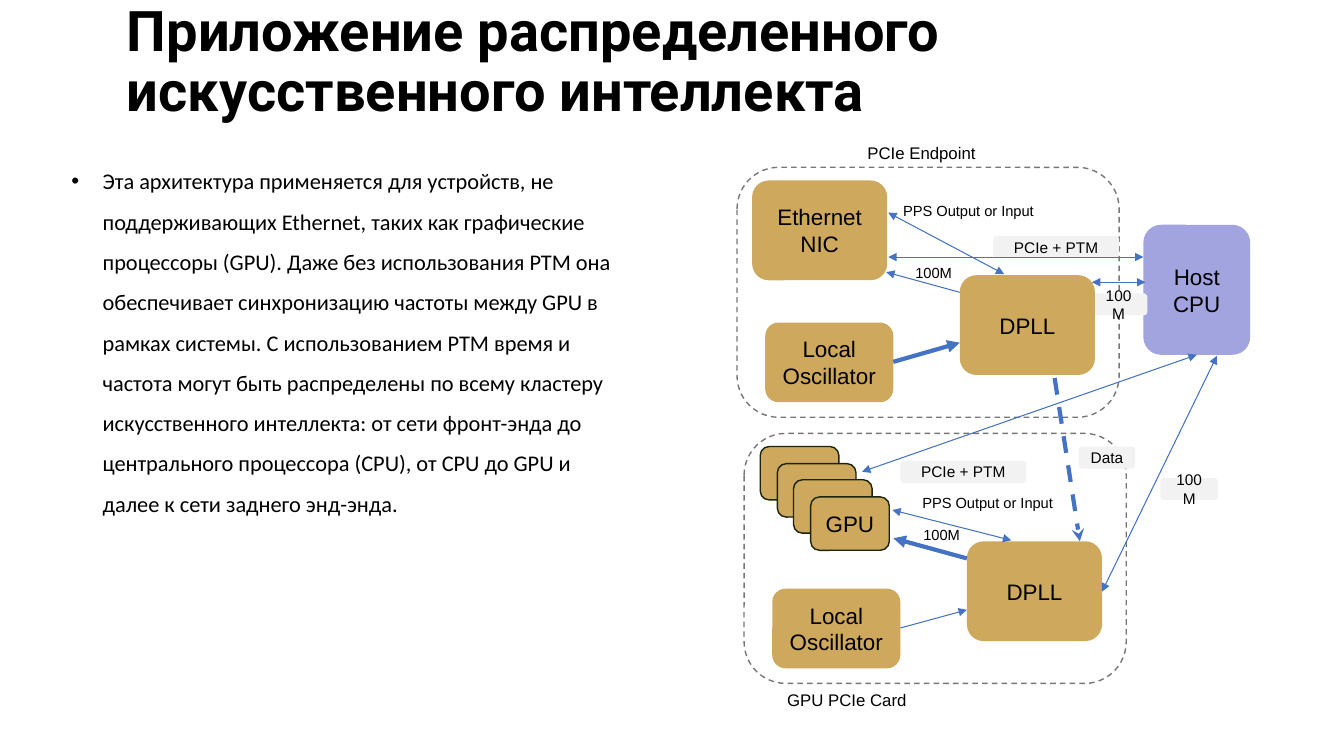
"""Builds the slide on a distributed AI application with its clock diagram."""
from lxml import etree
from pptx import Presentation
from pptx.dml.color import RGBColor
from pptx.enum.dml import MSO_LINE
from pptx.enum.shapes import MSO_CONNECTOR, MSO_SHAPE
from pptx.enum.text import MSO_ANCHOR, PP_ALIGN
from pptx.oxml.ns import qn
from pptx.util import Emu, Pt

ROUND = MSO_SHAPE.ROUNDED_RECTANGLE
STRAIGHT = MSO_CONNECTOR.STRAIGHT
DASH = MSO_LINE.DASH
LEFT, CENTER = PP_ALIGN.LEFT, PP_ALIGN.CENTER
TOP, MIDDLE = MSO_ANCHOR.TOP, MSO_ANCHOR.MIDDLE
PX = 9144
BLACK, GOLD, LILAC, PALE = "000000", "CEA85C", "A1A4DF", "F2F2F2"
BLUE, GREY, DARK = "4472C4", "757778", "19250C"

TITLE = "Приложение распределенного искусственного интеллекта"
BODY = (
    "Эта архитектура применяется для устройств, не поддерживающих Ethernet, "
    "таких как графические процессоры (GPU). Даже без использования PTM она "
    "обеспечивает синхронизацию частоты между GPU в рамках системы. "
    "С использованием PTM время и частота могут быть распределены по всему "
    "кластеру искусственного интеллекта: от сети фронт-энда до центрального "
    "процессора (CPU), от CPU до GPU и далее к сети заднего энд-энда."
)
CARD_ORIGINS = [(731, 166), (738, 430)]
CARD_SIZE = (379, 248)
CARD_PARTS = [
    ("Local Oscillator", 28, 154, 127, 79),
    ("DPLL", 221, 107, 134, 99),
]
NIC = ("Ethernet NIC", (746, 179, 134, 99))
HOST = ("Host CPU", (1134, 223, 106, 129))
GPU_ORIGIN, GPU_SIZE, GPU_COUNT, GPU_SHIFT = (754, 443), (78, 53), 4, 50
TAGS = [
    ("PCIe + PTM", 985, 234, 125),
    ("100M", 1081, 291, 57),
    ("PCIe + PTM", 893, 457, 125),
    ("100M", 1151, 474, 57),
    ("Data", 1070, 443, 56),
]
TAG_HEIGHT = 22
LABELS = [
    ("PCIe Endpoint", (840, 137, 148, 30), 12, CENTER),
    ("GPU PCIe Card", (746, 679, 188, 30), 12, CENTER),
    ("100M", (898, 257, 60, 29), 10.5, LEFT),
    ("PPS Output or Input", (886, 195, 166, 28), 10.5, LEFT),
    ("100M", (906, 517, 60, 29), 10.5, LEFT),
    ("PPS Output or Input", (905, 485, 166, 28), 10.5, LEFT),
]
ONE_WAY = {"tailEnd": "triangle"}
TWO_WAY = {"headEnd": "triangle", "tailEnd": "triangle"}
WIRES = [
    ((952, 290, 879, 270), 0.75, ONE_WAY),
    ((881, 255, 1134, 255), 0.75, TWO_WAY),
    ((1083, 280, 1136, 280), 0.75, TWO_WAY),
    ((886, 359, 952, 340), 3, ONE_WAY),
    ((881, 211, 996, 272), 0.75, TWO_WAY),
    ((959, 554, 886, 534), 3, ONE_WAY),
    ((893, 623, 959, 605), 0.75, ONE_WAY),
    ((885, 506, 1003, 536), 0.75, TWO_WAY),
    ((855, 468, 1187, 352), 0.75, TWO_WAY),
    ((1093, 587, 1207, 353), 0.75, TWO_WAY),
]
DATA_WIRE = ((1046, 375, 1071, 537), 3, {"tailEnd": "stealth"})


def rgb(value):
    """Turn a hex string into a colour."""
    return RGBColor.from_string(value)


def emu(lengths):
    """Scale px lengths to EMU."""
    return [Emu(n * PX) for n in lengths]


def write(s, text, size=16, font="Arial", bold=False, align=CENTER,
          anchor=MIDDLE, inset=(10, 5), spacing=None, bullet=None):
    """Put one formatted paragraph into a shape."""
    tf = s.text_frame
    tf.word_wrap = True
    tf.vertical_anchor = anchor
    tf.margin_left = tf.margin_right = Emu(inset[0] * PX)
    tf.margin_top = tf.margin_bottom = Emu(inset[1] * PX)
    p = tf.paragraphs[0]
    p.alignment = align
    if spacing:
        p.line_spacing = spacing
    if bullet:
        pr = p._p.get_or_add_pPr()
        pr.set("marL", str(31 * PX))
        pr.set("indent", str(-31 * PX))
        etree.SubElement(pr, qn("a:buFont"), typeface="Arial")
        etree.SubElement(pr, qn("a:buChar"), char=bullet)
    r = p.add_run()
    r.text = text
    r.font.size, r.font.name, r.font.bold = Pt(size), font, bold
    r.font.color.rgb = rgb(BLACK)


def add_text(slide, text, box, **style):
    """Add a text box."""
    write(slide.shapes.add_textbox(*emu(box)), text, **style)


def add_box(slide, box, text="", fill=None, line=None, dash=None, size=16):
    """Add a rounded box."""
    s = slide.shapes.add_shape(ROUND, *emu(box))
    s.shadow.inherit = False
    if fill:
        s.fill.solid()
        s.fill.fore_color.rgb = rgb(fill)
    else:
        s.fill.background()
    if line:
        s.line.color.rgb = rgb(line)
        s.line.width = Pt(1)
        s.line.dash_style = dash
    else:
        s.line.fill.background()
    if text:
        write(s, text, size=size)


def add_wire(slide, ends, width, heads, dash=None):
    """Add a straight wire with arrowheads."""
    s = slide.shapes.add_connector(STRAIGHT, *emu(ends))
    s.line.color.rgb = rgb(BLUE)
    s.line.width = Pt(width)
    s.line.dash_style = dash
    ln = s.line._get_or_add_ln()
    for end, kind in heads.items():
        etree.SubElement(ln, qn("a:" + end), type=kind)
    etree.SubElement(s._element.spPr, qn("a:effectLst"))


def main():
    """Draw the slide and save it."""
    prs = Presentation()
    prs.slide_width, prs.slide_height = emu((1333, 750))
    slide = prs.slides.add_slide(prs.slide_layouts[6])

    add_text(slide, TITLE, (121, 36, 1213, 54), size=40, font="Roboto",
             bold=True, align=LEFT, inset=(5, 2), spacing=0.9)
    add_text(slide, BODY, (61, 148, 558, 374), font="Calibri", align=LEFT,
             anchor=TOP, spacing=1.5, bullet="•")

    for origin in CARD_ORIGINS:
        add_box(slide, origin + CARD_SIZE, line=GREY, dash=DASH)
    add_box(slide, HOST[1], HOST[0], fill=LILAC)
    for text, x, y, w in TAGS:
        add_box(slide, (x, y, w, TAG_HEIGHT), text, fill=PALE, size=11)
    add_box(slide, NIC[1], NIC[0], fill=GOLD)
    for left, top in CARD_ORIGINS:
        for text, dx, dy, w, h in CARD_PARTS:
            add_box(slide, (left + dx, top + dy, w, h), text, fill=GOLD)
    for i in range(GPU_COUNT):
        shift = round(i * GPU_SHIFT / (GPU_COUNT - 1))
        corner = tuple(n + shift for n in GPU_ORIGIN)
        text = "GPU" if i == GPU_COUNT - 1 else ""
        add_box(slide, corner + GPU_SIZE, text, fill=GOLD, line=DARK)

    for wire in WIRES:
        add_wire(slide, *wire)
    add_wire(slide, *DATA_WIRE, dash=DASH)
    for text, box, size, align in LABELS:
        add_text(slide, text, box, size=size, align=align, anchor=TOP)

    prs.save("out.pptx")


if __name__ == "__main__":
    main()
